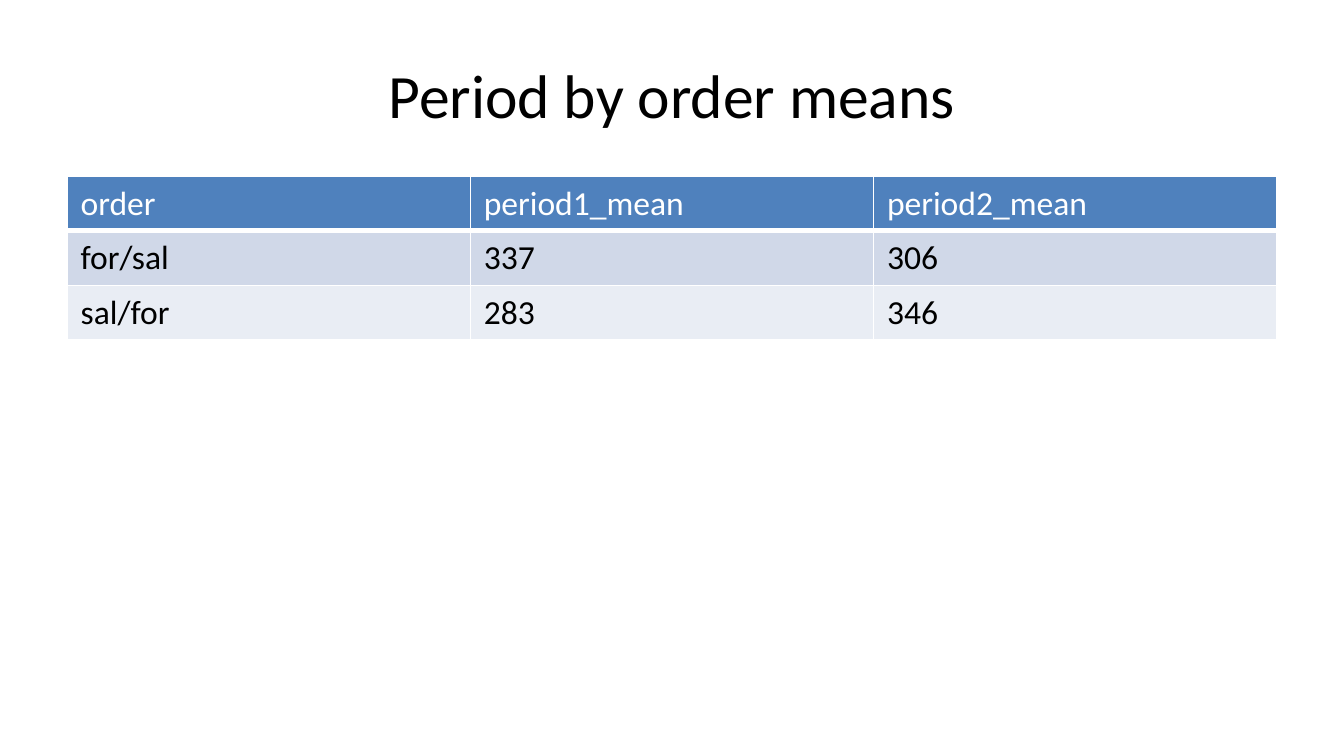
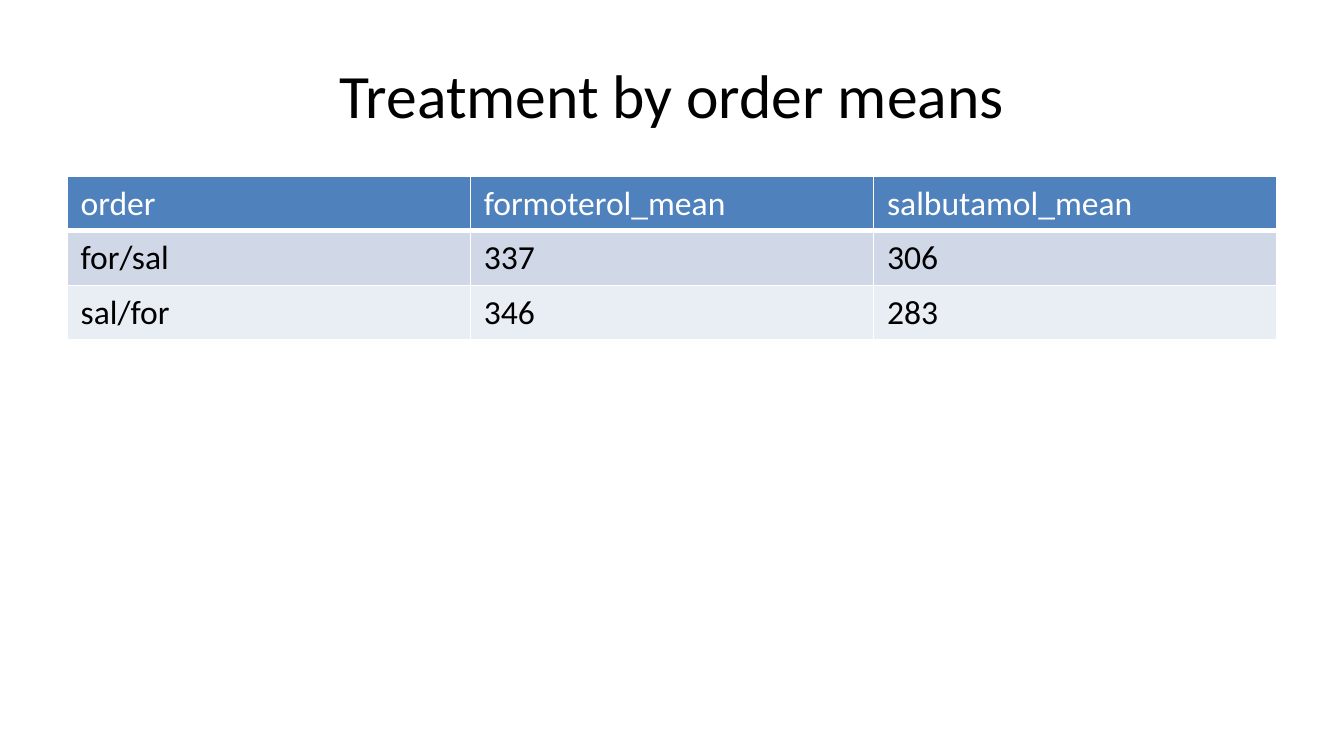
"""Build two slides of mean tables, by period and by treatment."""
from lxml import etree
from pptx import Presentation
from pptx.dml.color import RGBColor
from pptx.enum import text
from pptx.oxml import ns
from pptx.util import Pt

FONT = "Calibri"
BLACK = RGBColor(0x00, 0x00, 0x00)
WHITE = RGBColor(0xFF, 0xFF, 0xFF)
HEADER_BLUE = RGBColor(0x4F, 0x81, 0xBD)
BAND_DARK = RGBColor(0xD0, 0xD8, 0xE8)
BAND_LIGHT = RGBColor(0xE9, 0xED, 0xF4)
ROW_FILLS = [HEADER_BLUE, BAND_DARK, BAND_LIGHT]

MARGIN = 36
CONTENT_WIDTH = 648
ROW_HEIGHT = 29.1
THICK_EDGES = {(0, "B"), (1, "T")}

SLIDES = [
    ("Period by order means", [
        ("order", "period1_mean", "period2_mean"),
        ("for/sal", "337", "306"),
        ("sal/for", "283", "346"),
    ]),
    ("Treatment by order means", [
        ("order", "formoterol_mean", "salbutamol_mean"),
        ("for/sal", "337", "306"),
        ("sal/for", "346", "283"),
    ]),
]


def style_font(paragraph, size, color):
    paragraph.font.name = FONT
    paragraph.font.size = Pt(size)
    paragraph.font.bold = False
    paragraph.font.color.rgb = color


def add_border(cell, edge, width):
    properties = cell._tc.get_or_add_tcPr()
    line = etree.SubElement(properties, ns.qn(f"a:ln{edge}"), w=str(Pt(width)))
    fill = etree.SubElement(line, ns.qn("a:solidFill"))
    etree.SubElement(fill, ns.qn("a:srgbClr"), val=str(WHITE))


presentation = Presentation()
presentation.slide_width = Pt(720)
presentation.slide_height = Pt(405)
title_only = presentation.slide_layouts[5]

for heading, rows in SLIDES:
    slide = presentation.slides.add_slide(title_only)
    title = slide.shapes.title
    title.left, title.top = Pt(MARGIN), Pt(16.5)
    title.width, title.height = Pt(CONTENT_WIDTH), Pt(67.5)
    title.text_frame.text = heading
    title.text_frame.vertical_anchor = text.MSO_ANCHOR.MIDDLE
    paragraph = title.text_frame.paragraphs[0]
    paragraph.alignment = text.PP_ALIGN.CENTER
    style_font(paragraph, 33, BLACK)

    table = slide.shapes.add_table(
        len(rows), len(rows[0]), Pt(MARGIN), Pt(94.5),
        Pt(CONTENT_WIDTH), Pt(ROW_HEIGHT * len(rows))).table
    for row, values in enumerate(rows):
        for column, value in enumerate(values):
            cell = table.cell(row, column)
            cell.text = value
            style_font(cell.text_frame.paragraphs[0], 18, BLACK if row else WHITE)
            for edge in "LRTB":
                add_border(cell, edge, 3 if (row, edge) in THICK_EDGES else 1)
            cell.fill.solid()
            cell.fill.fore_color.rgb = ROW_FILLS[row]

presentation.save("out.pptx")
